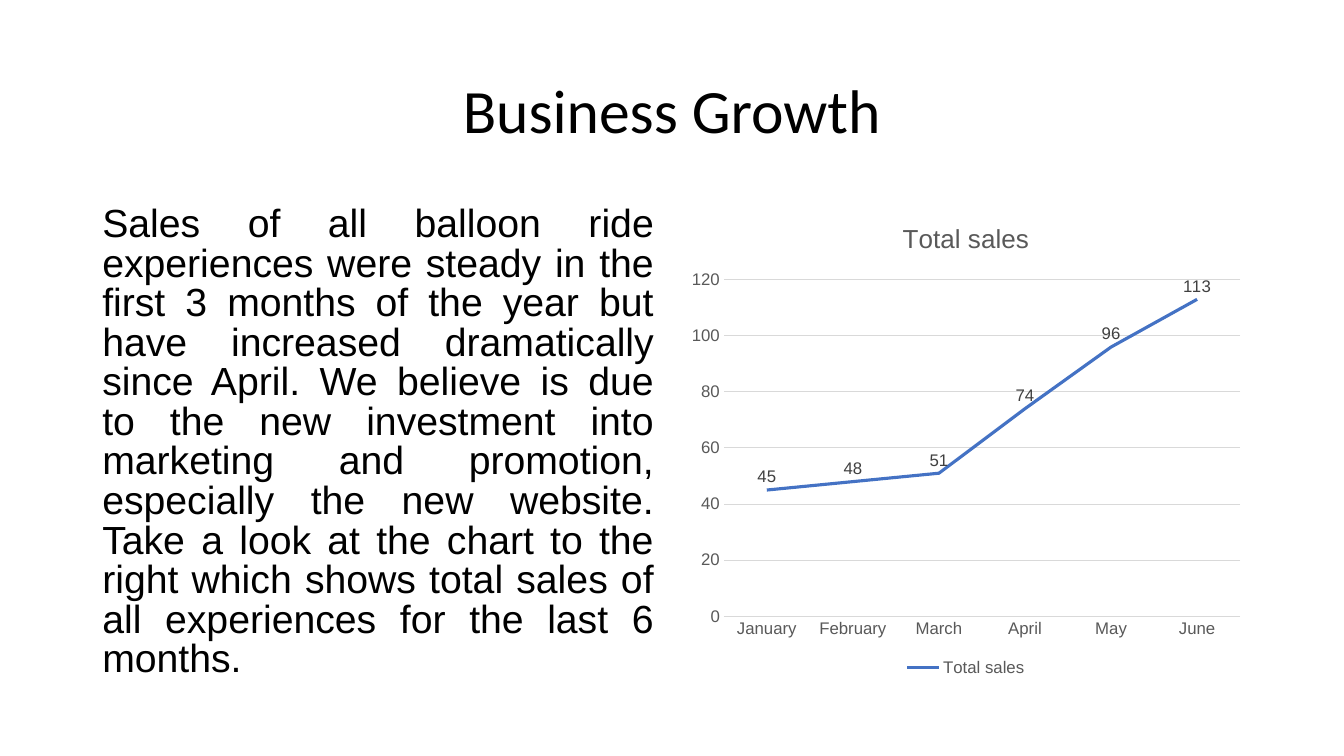
from pptx import Presentation
from pptx import util as u
from pptx.chart import data as cd
from pptx.dml import color as co
from pptx.enum import chart as ce
from pptx.enum import text as te

MONTHS = ["January", "February", "March", "April", "May", "June"]
SALES = [45, 48, 51, 74, 96, 113]
STORY = (
    "Sales of all balloon ride experiences were steady in the first 3 months "
    "of the year but have increased dramatically since April. We believe is "
    "due to the new investment into marketing and promotion, especially the "
    "new website. Take a look at the chart to the right which shows total "
    "sales of all experiences for the last 6 months."
)


def rgb(code):
    """Return the colour for a hex string."""
    return co.RGBColor.from_string(code)


def style(font, size, color, name="Arial"):
    """Set the size, colour and face of a font."""
    font.size, font.name, font.bold = u.Pt(size), name, False
    font.color.rgb = rgb(color)


def stroke(line, color, width=0.75):
    """Set the colour and width of a line."""
    line.color.rgb = rgb(color)
    line.width = u.Pt(width)


def write(slide, box, words, size=28, face="Arial", color="000000",
          align=te.PP_ALIGN.LEFT, anchor=te.MSO_ANCHOR.TOP, space=1.0):
    """Add a wrapped text box and return it."""
    shape = slide.shapes.add_textbox(*map(u.Pt, box))
    frame = shape.text_frame
    frame.word_wrap = True
    frame.vertical_anchor = anchor
    para = frame.paragraphs[0]
    para.alignment, para.line_spacing = align, space
    run = para.add_run()
    run.text = words
    style(run.font, size, color, face)
    return shape


def head(slide, box):
    """Place the slide title."""
    write(slide, box, "Business Growth", size=44, face="Calibri", space=0.9,
          align=te.PP_ALIGN.CENTER, anchor=te.MSO_ANCHOR.MIDDLE)


def story(slide, box):
    """Place the justified text on sales."""
    shape = write(slide, box, STORY, align=te.PP_ALIGN.JUSTIFY, space=0.84)
    stroke(shape.line, "FFFFFF")


def graph(slide, box):
    """Place the line chart of monthly sales."""
    data = cd.CategoryChartData()
    data.categories = MONTHS
    data.add_series("Total sales", SALES)
    chart = slide.shapes.add_chart(
        ce.XL_CHART_TYPE.LINE, *map(u.Pt, box), data).chart
    style(chart.font, 12, "595959")

    chart.has_title = True
    title = chart.chart_title.text_frame
    title.text = "Total sales"
    style(title.paragraphs[0].runs[0].font, 18.6, "595959")

    chart.has_legend = True
    chart.legend.position = ce.XL_LEGEND_POSITION.BOTTOM
    chart.legend.include_in_layout = False
    style(chart.legend.font, 12, "595959")

    cats, vals = chart.category_axis, chart.value_axis
    for axis in (cats, vals):
        axis.major_tick_mark = axis.minor_tick_mark = ce.XL_TICK_MARK.NONE
        style(axis.tick_labels.font, 12, "595959")
    stroke(cats.format.line, "D9D9D9")
    vals.format.line.fill.background()
    vals.minimum_scale, vals.maximum_scale, vals.major_unit = 0, 120, 20
    stroke(vals.major_gridlines.format.line, "D9D9D9")

    plot = chart.plots[0]
    plot.vary_by_categories = False
    line = plot.series[0]
    line.smooth = False
    line.marker.style = ce.XL_MARKER_STYLE.NONE
    stroke(line.format.line, "4472C4", 2.25)
    labels = line.data_labels
    labels.show_value = True
    labels.position = ce.XL_LABEL_POSITION.ABOVE
    style(labels.font, 12, "404040")


def main():
    """Build the slide and save it."""
    deck = Presentation()
    deck.slide_width, deck.slide_height = u.Pt(960), u.Pt(540)
    slide = deck.slides.add_slide(deck.slide_layouts[6])
    left, top, wide, tall, gap = 66, 143.75, 408, 342.6, 12
    head(slide, (left, 28.75, 2 * wide + gap, 104.4))
    story(slide, (left, top, wide, tall))
    graph(slide, (left + wide + gap, top, wide, tall))
    deck.save("out.pptx")


if __name__ == "__main__":
    main()
